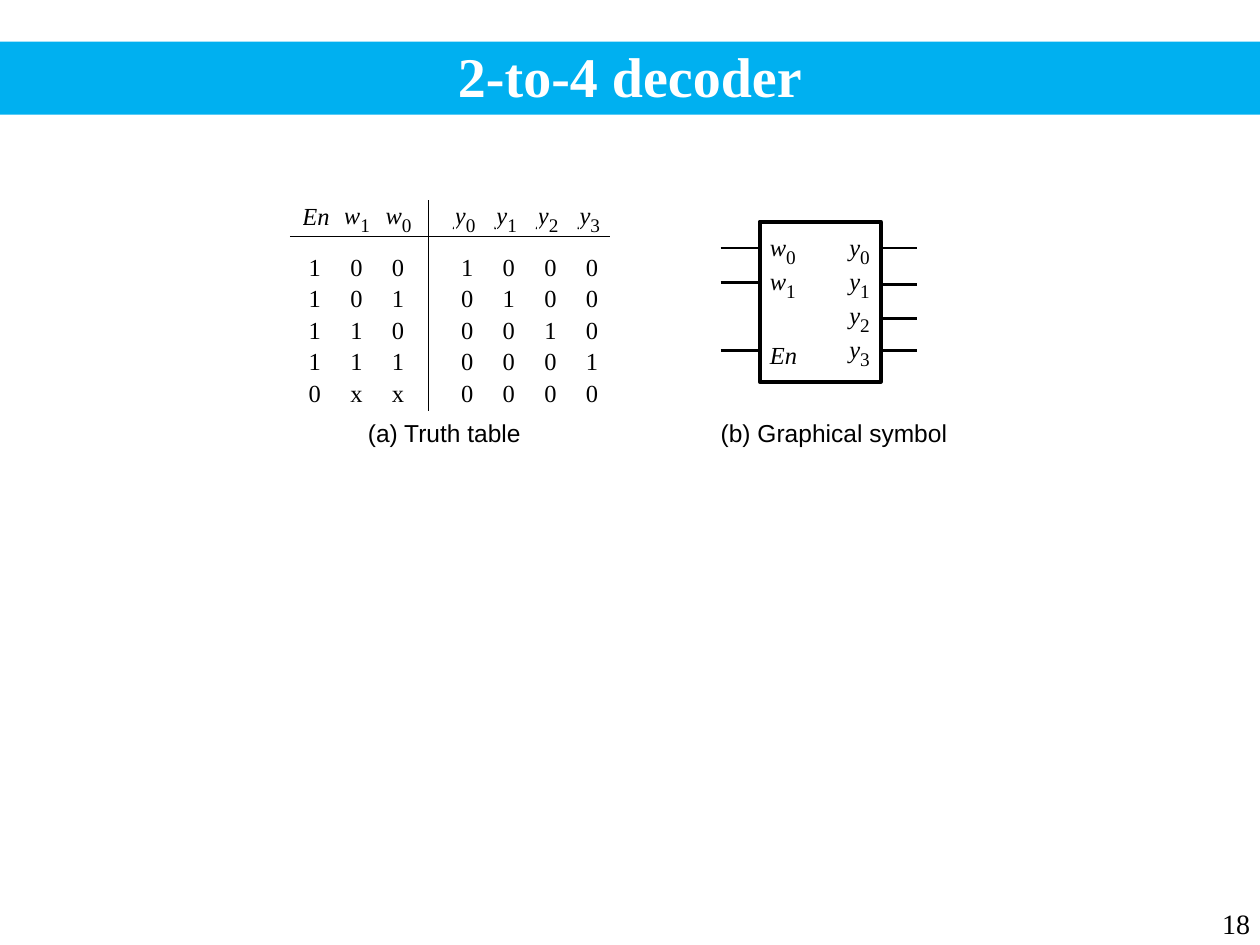
from pptx import Presentation
from pptx.dml.color import RGBColor
from pptx.enum.shapes import MSO_CONNECTOR, MSO_SHAPE
from pptx.enum.text import MSO_ANCHOR, PP_ALIGN
from pptx.oxml.ns import qn
from pptx.util import Inches, Pt
from lxml import etree

STRAIGHT = MSO_CONNECTOR.STRAIGHT
RECTANGLE = MSO_SHAPE.RECTANGLE
TOP, BOTTOM = MSO_ANCHOR.TOP, MSO_ANCHOR.BOTTOM
LEFT, CENTER, RIGHT = PP_ALIGN.LEFT, PP_ALIGN.CENTER, PP_ALIGN.RIGHT
TITLE_ONLY = 5

SERIF, SANS = "Times New Roman", "Arial"
BLACK, WHITE, BLUE = "000000", "FFFFFF", "00B0F0"
SUBSCRIPT_SIZE, SUBSCRIPT_BASELINE = 19, "-24000"  # drawn at about 11 pt
SUBSCRIPT_DROP = 0.07  # the taller subscript run lowers its line this much

HEADER = ["En", "w1", "w0", "y0", "y1", "y2", "y3"]
TRUTH_ROWS = ["1001000", "1010100", "1100010", "1110001", "0xx0000"]
COLUMN_WIDTHS = [0.33, 0.33, 0.55] + [0.33] * 4
HEADER_HEIGHT, ROW_HEIGHT = 0.52, 0.25
HEADER_MARGIN = 0.12
DIGIT_INDENT = 0.05

INPUT_LABELS = [("w0", 1.84), ("w1", 2.11), ("En", 2.7)]
OUTPUT_LABELS = [(f"y{index}", 1.84 + 0.27 * index) for index in range(4)]
INPUT_PINS = [1.97, 2.24, 2.78]
OUTPUT_PINS = [1.97, 2.26, 2.53, 2.78]
RULE_WIDTH, PIN_WIDTH, OUTLINE_WIDTH = 0.5, 1.5, 2.25


def color(value):
    return RGBColor.from_string(value)


def raised(top, name):
    """Return the top that keeps a signal's letter level with plain text."""
    return top - SUBSCRIPT_DROP if name[-1].isdigit() else top


class DecoderSlide:
    """Style and drawing methods for the current slide."""

    def __init__(self, slide):
        self.slide = slide

    def run(self, paragraph, text, **formats):
        run = paragraph.add_run()
        run.text = text
        values = {"name": SERIF, "size": 14, "bold": False, "italic": False,
                  "color": BLACK, **formats}
        run.font.color.rgb = color(values.pop("color"))
        values["size"] = Pt(values["size"])
        for name, value in values.items():
            setattr(run.font, name, value)
        return run

    def signal(self, paragraph, name):
        """Write an italic signal name with its digit as a subscript."""
        letters = name.rstrip("0123456789")
        self.run(paragraph, letters, italic=True)
        if letters != name:
            digit = self.run(paragraph, name[len(letters):], size=SUBSCRIPT_SIZE)
            digit.font._element.set("baseline", SUBSCRIPT_BASELINE)

    def title(self, text):
        title = self.slide.shapes.title
        box = {"left": 0, "top": 0.33, "width": 10, "height": 0.58}
        for name, value in box.items():
            setattr(title, name, Inches(value))
        title.fill.solid()
        title.fill.fore_color.rgb = color(BLUE)
        title.text_frame.vertical_anchor = BOTTOM
        paragraph = title.text_frame.paragraphs[0]
        paragraph.alignment = CENTER
        self.run(paragraph, text, size=32, bold=True, color=WHITE)

    def text_box(self, left, top, width, height=0.23, margin=0, anchor=TOP,
                 alignment=LEFT):
        """Add an empty text box and return its paragraph."""
        shape = self.slide.shapes.add_textbox(
            Inches(left), Inches(top), Inches(width), Inches(height))
        frame = shape.text_frame
        frame.word_wrap = True
        frame.vertical_anchor = anchor
        for side in ("left", "right", "top", "bottom"):
            inset = margin / 2 if side in ("top", "bottom") else margin
            setattr(frame, f"margin_{side}", Inches(inset))
        frame.paragraphs[0].alignment = alignment
        return frame.paragraphs[0]

    def line(self, start, end, width):
        connector = self.slide.shapes.add_connector(
            STRAIGHT, *(Inches(value) for value in (*start, *end)))
        connector.line.color.rgb = color(BLACK)
        connector.line.width = Pt(width)
        etree.SubElement(connector._element.spPr, qn("a:effectLst"))

    def outline(self, left, top, width, height):
        shape = self.slide.shapes.add_shape(
            RECTANGLE, Inches(left), Inches(top), Inches(width), Inches(height))
        shape.shadow.inherit = False
        shape.fill.background()
        shape.line.color.rgb = color(BLACK)
        shape.line.width = Pt(OUTLINE_WIDTH)

    def truth_table(self, left, top):
        rows = [HEADER, *TRUTH_ROWS]
        heights = [HEADER_HEIGHT] + [ROW_HEIGHT] * len(TRUTH_ROWS)
        table = self.slide.shapes.add_table(
            len(rows), len(HEADER), Inches(left), Inches(top),
            Inches(sum(COLUMN_WIDTHS)), Inches(sum(heights))).table
        table.first_row = table.horz_banding = False
        for column, width in zip(table.columns, COLUMN_WIDTHS):
            column.width = Inches(width)
        for row_index, (values, height) in enumerate(zip(rows, heights)):
            table.rows[row_index].height = Inches(height)
            for column_index, value in enumerate(values):
                cell = table.cell(row_index, column_index)
                cell.fill.background()
                cell.margin_left = cell.margin_right = 0
                cell.margin_top = cell.margin_bottom = 0
                paragraph = cell.text_frame.paragraphs[0]
                if row_index:
                    cell.margin_left = Inches(DIGIT_INDENT)
                    self.run(paragraph, value)
                else:
                    cell.margin_top = Inches(raised(HEADER_MARGIN, value))
                    self.signal(paragraph, value)


def main():
    presentation = Presentation()
    presentation.slide_width, presentation.slide_height = Inches(10), Inches(7.5)
    layout = presentation.slide_layouts[TITLE_ONLY]
    page = DecoderSlide(presentation.slides.add_slide(layout))

    page.title("2-to-4 decoder")

    page.truth_table(2.4, 1.5)
    page.line((2.3, 1.88), (4.84, 1.88), RULE_WIDTH)
    page.line((3.4, 1.59), (3.4, 3.26), RULE_WIDTH)

    page.outline(6.03, 1.76, 0.96, 1.27)
    for left, labels in ((6.11, INPUT_LABELS), (6.74, OUTPUT_LABELS)):
        for name, top in labels:
            page.signal(page.text_box(left, raised(top, name), 0.25), name)
    for start, end, pins in ((5.72, 6.03, INPUT_PINS), (6.99, 7.28, OUTPUT_PINS)):
        for height in pins:
            page.line((start, height), (end, height), PIN_WIDTH)

    for text, left, width in (("(a) Truth table", 2.92, 1.27),
                              ("(b) Graphical symbol", 5.72, 1.84)):
        page.run(page.text_box(left, 3.32, width), text, name=SANS)

    number = page.text_box(7.94, 7.01, 2.08, 0.5, margin=0.1, anchor=BOTTOM,
                           alignment=RIGHT)
    page.run(number, "18", size=16)

    presentation.save("out.pptx")


if __name__ == "__main__":
    main()
